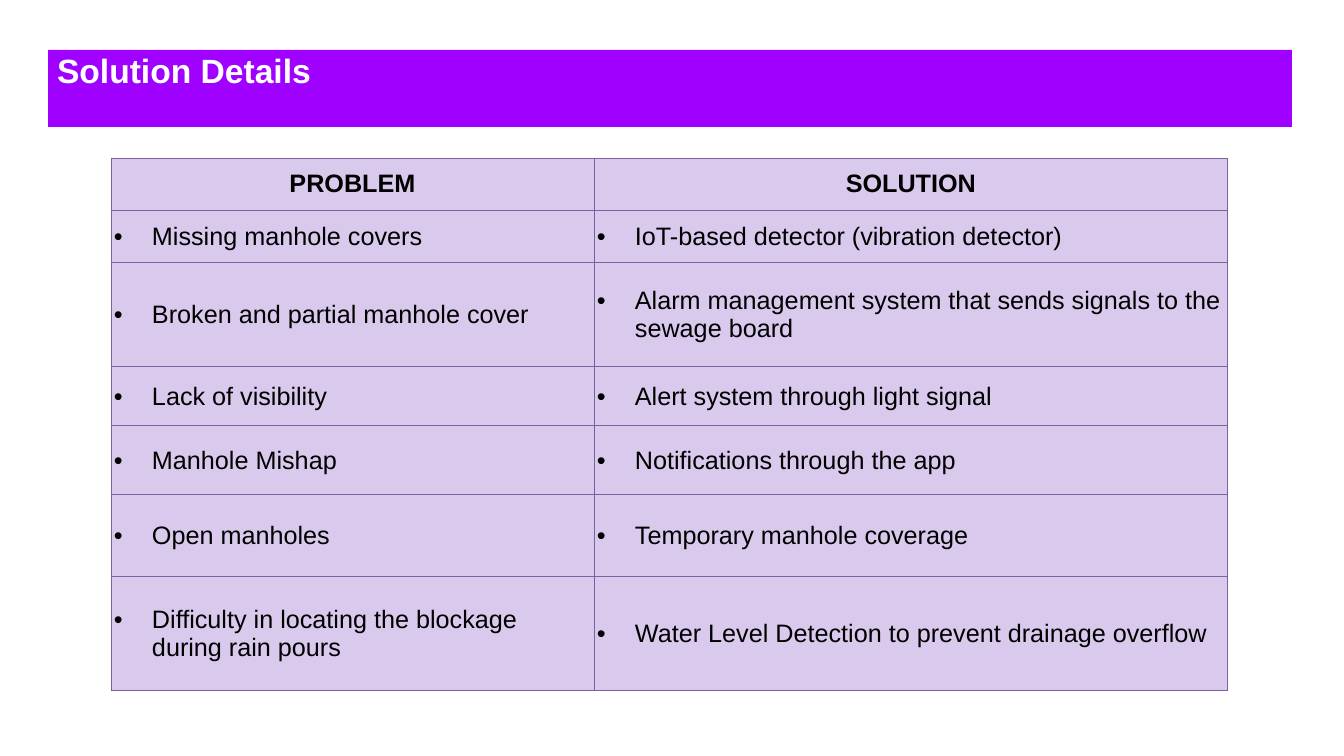
from dataclasses import dataclass

from lxml import etree
from pptx import Presentation
from pptx.dml.color import RGBColor
from pptx.enum.shapes import MSO_SHAPE
from pptx.enum.text import MSO_ANCHOR, PP_ALIGN
from pptx.oxml.ns import qn
from pptx.util import Pt

RECTANGLE = MSO_SHAPE.RECTANGLE
TOP, MIDDLE = MSO_ANCHOR.TOP, MSO_ANCHOR.MIDDLE
LEFT, CENTER = PP_ALIGN.LEFT, PP_ALIGN.CENTER

TITLE = "Solution Details"
ROWS = [
    ("PROBLEM", "SOLUTION"),
    ("Missing manhole covers", "IoT-based detector (vibration detector)"),
    ("Broken and partial manhole cover",
     "Alarm management system that sends signals to the sewage board"),
    ("Lack of visibility", "Alert system through light signal"),
    ("Manhole Mishap", "Notifications through the app"),
    ("Open manholes", "Temporary manhole coverage"),
    ("Difficulty in locating the blockage during rain pours",
     "Water Level Detection to prevent drainage overflow"),
]

# Lengths in px
SLIDE_W, SLIDE_H = 1344, 756
BANNER = (48, 50, 1244, 77)
TITLE_INSET = 9
TABLE_LEFT, TABLE_TOP = 111, 158
COL_WIDTHS = [483, 634]
ROW_HEIGHTS = [52, 53, 104, 59, 69, 82, 114]
CELL_PAD_X, CELL_PAD_Y = 3, 2
BULLET_INDENT = 38


@dataclass(frozen=True)
class Theme:
    font: str = "Arial"
    title_size: int = 24
    cell_size: int = 18
    border_width: float = 0.75
    banner: str = "A000FF"
    title: str = "FFFFFF"
    text: str = "000000"
    cell: str = "D9CAED"
    border: str = "7D60A0"


THEME = Theme()


def px(n):
    return round(n * 914400 / 100.8)


def rgb(color):
    return RGBColor.from_string(color)


def style(p, size, color, bold):
    for r in p.runs:
        r.font.name = THEME.font
        r.font.size = Pt(size)
        r.font.bold = bold
        r.font.color.rgb = rgb(color)


def add_bullet(p):
    pPr = p._p.get_or_add_pPr()
    pPr.set("marL", str(px(BULLET_INDENT)))
    pPr.set("indent", str(-px(BULLET_INDENT)))
    etree.SubElement(pPr, qn("a:buFont")).set("typeface", THEME.font)
    etree.SubElement(pPr, qn("a:buChar")).set("char", "•")


def add_borders(cell):
    tcPr = cell._tc.get_or_add_tcPr()
    for side in ("lnL", "lnR", "lnT", "lnB"):
        ln = etree.SubElement(tcPr, qn(f"a:{side}"))
        ln.set("w", str(Pt(THEME.border_width)))
        fill = etree.SubElement(ln, qn("a:solidFill"))
        etree.SubElement(fill, qn("a:srgbClr")).set("val", THEME.border)


def add_banner(s):
    sp = s.shapes.add_shape(RECTANGLE, *map(px, BANNER))
    sp.shadow.inherit = False
    sp.fill.solid()
    sp.fill.fore_color.rgb = rgb(THEME.banner)
    sp.line.fill.background()
    tf = sp.text_frame
    tf.text = TITLE
    tf.word_wrap = True
    tf.vertical_anchor = TOP
    tf.margin_left = px(TITLE_INSET)
    tf.margin_right = tf.margin_top = tf.margin_bottom = 0
    p = tf.paragraphs[0]
    p.alignment = LEFT
    style(p, THEME.title_size, THEME.title, True)


def fill_cell(cell, text, is_header):
    add_borders(cell)
    cell.fill.solid()
    cell.fill.fore_color.rgb = rgb(THEME.cell)
    cell.vertical_anchor = MIDDLE
    cell.margin_left = cell.margin_right = px(CELL_PAD_X)
    cell.margin_top = cell.margin_bottom = px(CELL_PAD_Y)
    cell.text_frame.text = text
    p = cell.text_frame.paragraphs[0]
    p.alignment = CENTER if is_header else LEFT
    if not is_header:
        add_bullet(p)
    style(p, THEME.cell_size, THEME.text, is_header)


def add_solution_table(s):
    table = s.shapes.add_table(
        len(ROWS), len(COL_WIDTHS), px(TABLE_LEFT), px(TABLE_TOP),
        px(sum(COL_WIDTHS)), px(sum(ROW_HEIGHTS))).table
    table.horz_banding = False
    for col, width in zip(table.columns, COL_WIDTHS):
        col.width = px(width)
    for i, (row, height, texts) in enumerate(zip(table.rows, ROW_HEIGHTS, ROWS)):
        row.height = px(height)
        for cell, text in zip(row.cells, texts):
            fill_cell(cell, text, i == 0)


def main():
    prs = Presentation()
    prs.slide_width, prs.slide_height = px(SLIDE_W), px(SLIDE_H)
    s = prs.slides.add_slide(prs.slide_layouts[6])
    add_solution_table(s)
    add_banner(s)
    prs.save("out.pptx")


if __name__ == "__main__":
    main()
